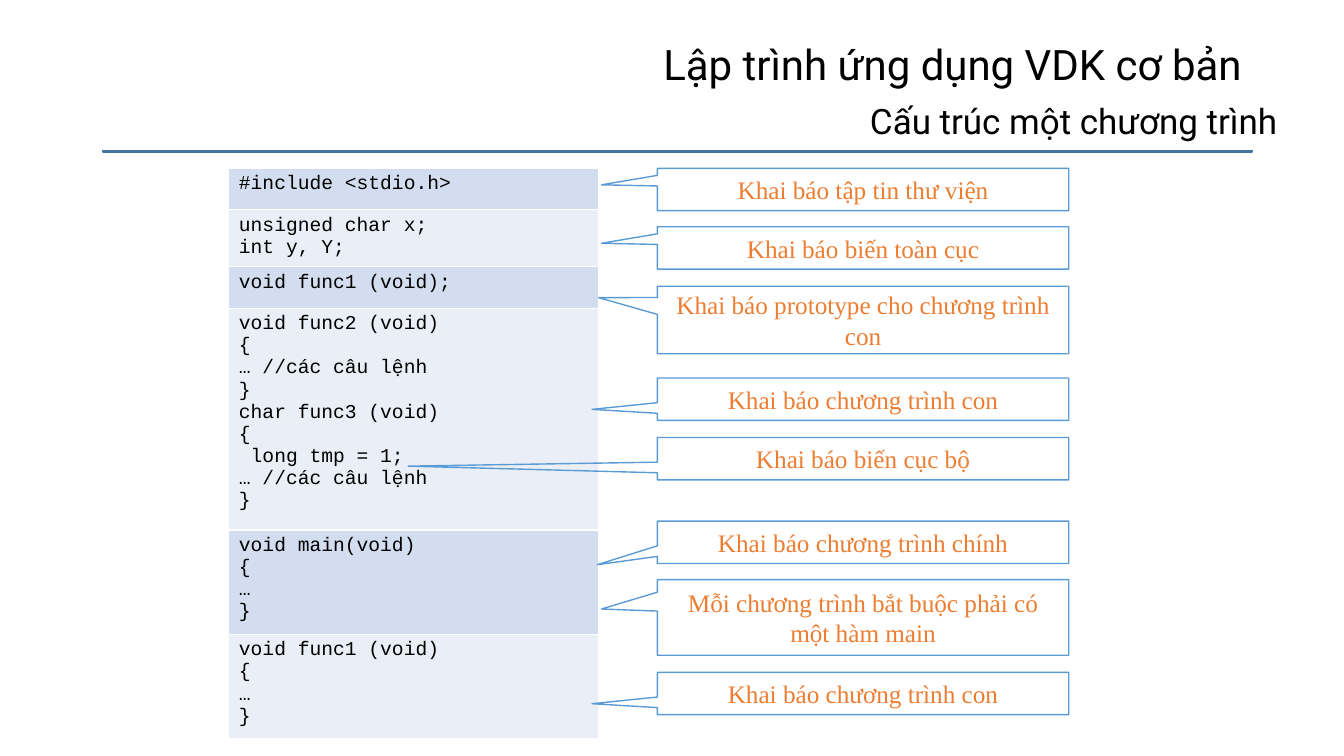
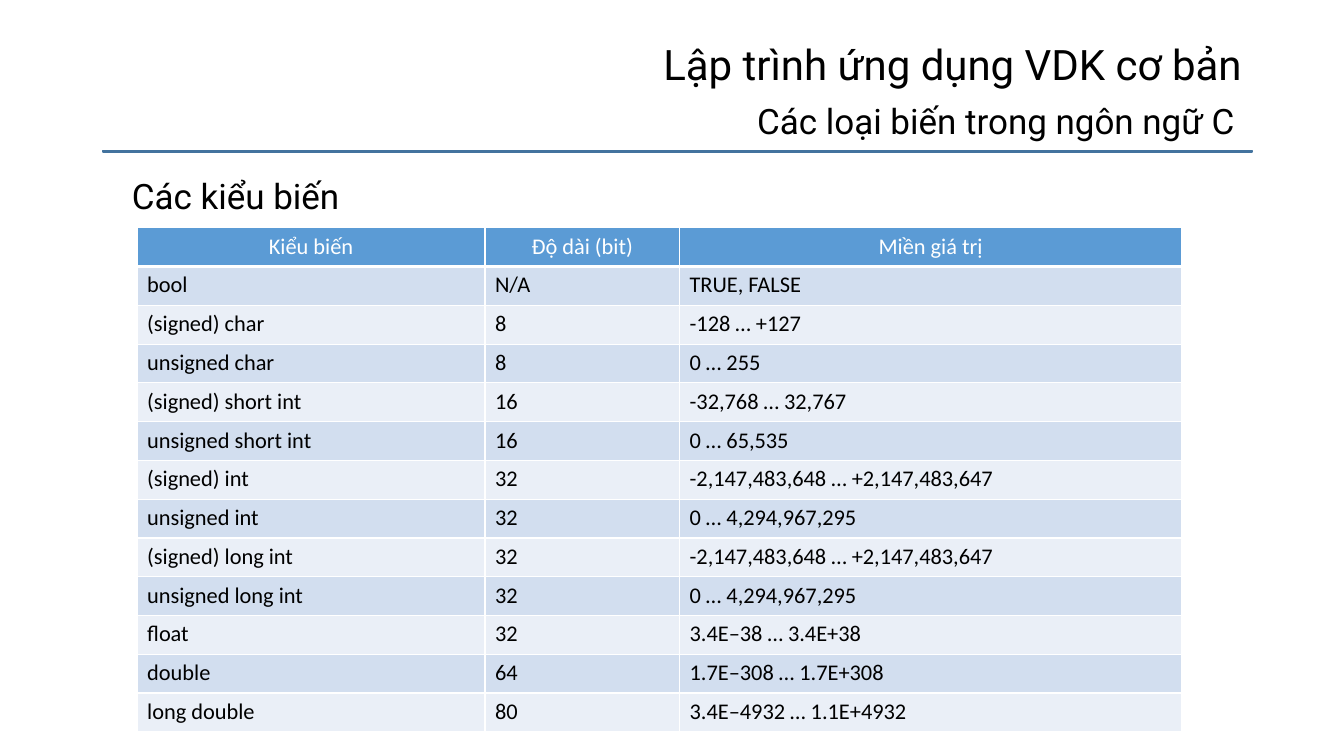
from typing import NamedTuple

from lxml import etree
from pptx import Presentation
from pptx.dml.color import RGBColor
from pptx.enum.shapes import MSO_SHAPE as Shape
from pptx.enum.text import MSO_ANCHOR as Anchor, PP_ALIGN as Align
from pptx.oxml.ns import qn
from pptx.util import Inches, Pt

BLACK = RGBColor(0x00, 0x00, 0x00)
WHITE = RGBColor(0xFF, 0xFF, 0xFF)
BLUE = RGBColor(0x5B, 0x9B, 0xD5)
ORANGE = RGBColor(0xED, 0x7D, 0x31)
RULE_FILL = RGBColor(0xD9, 0xD9, 0xD9)
RULE_LINE = RGBColor(0x43, 0x73, 0x9E)
BANDS = (RGBColor(0xD2, 0xDE, 0xEF), RGBColor(0xEA, 0xEF, 0xF7))

DECK_TITLE = "Lập trình ứng dụng VDK cơ bản"


class Box(NamedTuple):
    left: float
    top: float
    width: float
    height: float

    def lengths(self):
        return [Inches(value) for value in self]


class Style(NamedTuple):
    font: str
    size: float
    color: RGBColor
    align: Align = Align.LEFT


class Callout(NamedTuple):
    text: str
    top: float
    tip_x: float  # tip offset from the centre, as a share of the width
    tip_y: float  # tip offset from the centre, as a share of the height
    height: float = 0.42


TITLE = Style("Roboto", 30, BLACK, Align.RIGHT)
SUBTITLE = Style("Roboto", 25, BLACK, Align.CENTER)
HEADING = Style("Roboto", 25, BLACK)
CODE = Style("Courier New", 14, BLACK)
LABEL = Style("Times New Roman", 18, ORANGE, Align.CENTER)
TABLE_HEAD = Style("Calibri", 16, WHITE, Align.CENTER)
TABLE_BODY = Style("Calibri", 16, BLACK)

CODE_BLOCKS = [
    ["#include <stdio.h>"],
    ["unsigned char x;", "int y, Y;"],
    ["void func1 (void);"],
    ["void func2 (void)", "{", "… //các câu lệnh", "}",
     "char func3 (void)", "{", " long tmp = 1;", "… //các câu lệnh", "}"],
    ["void main(void)", "{", "…", "}"],
    ["void func1 (void)", "{", "…", "}"],
]

CALLOUTS = [
    Callout("Khai báo tập tin thư viện", 1.67, -0.636, -0.111),
    Callout("Khai báo biến toàn cục", 2.25, -0.636, -0.111),
    Callout("Khai báo prototype cho chương trình con", 2.84, -0.643, -0.331, 0.67),
    Callout("Khai báo chương trình con", 3.75, -0.659, 0.241),
    Callout("Khai báo biến cục bộ", 4.34, -1.106, 0.177),
    Callout("Khai báo chương trình chính", 5.17, -0.646, 0.529),
    Callout("Mỗi chương trình bắt buộc phải có một hàm main", 5.75, -0.636, -0.111, 0.75),
    Callout("Khai báo chương trình con", 6.67, -0.659, 0.241),
]

VARIABLE_TYPES = [
    ("Kiểu biến", "Độ dài (bit)", "Miền giá trị"),
    ("bool", "N/A", "TRUE, FALSE"),
    ("(signed) char", "8", "-128 … +127"),
    ("unsigned char", "8", "0 … 255"),
    ("(signed) short int", "16", "-32,768 … 32,767"),
    ("unsigned short int", "16", "0 … 65,535"),
    ("(signed) int", "32", "-2,147,483,648 … +2,147,483,647"),
    ("unsigned int", "32", "0 … 4,294,967,295"),
    ("(signed) long int", "32", "-2,147,483,648 … +2,147,483,647"),
    ("unsigned long int", "32", "0 … 4,294,967,295"),
    ("float", "32", "3.4E–38 … 3.4E+38"),
    ("double", "64", "1.7E–308 … 1.7E+308"),
    ("long double", "80", "3.4E–4932 … 1.1E+4932"),
]


def write(frame, text: str, style: Style) -> None:
    frame.text = text
    for para in frame.paragraphs:
        para.alignment = style.align
        for span in para.runs:
            span.font.name = style.font
            span.font.size = Pt(style.size)
            span.font.color.rgb = style.color
            span.font.bold = False


def add_text(page, box: Box, text: str, style: Style, anchor: Anchor = Anchor.MIDDLE):
    frame = page.shapes.add_textbox(*box.lengths()).text_frame
    frame.word_wrap = True
    frame.vertical_anchor = anchor
    write(frame, text, style)
    for para in frame.paragraphs:
        para.line_spacing = 0.9
    return frame


def add_page(deck, subtitle: str, subtitle_box: Box):
    """Add a slide with the shared title, rule and a subtitle."""
    page = deck.slides.add_slide(deck.slide_layouts[6])
    rule = page.shapes.add_shape(Shape.RECTANGLE, *Box(1.02, 1.49, 11.4, 0.02).lengths())
    rule.shadow.inherit = False
    rule.fill.solid()
    rule.fill.fore_color.rgb = RULE_FILL
    rule.line.color.rgb = RULE_LINE
    rule.line.width = Pt(1)
    add_text(page, Box(1.02, 0.32, 11.4, 0.68), DECK_TITLE, TITLE)
    frame = add_text(page, subtitle_box, subtitle, SUBTITLE, Anchor.TOP)
    frame.margin_left = Inches(0.6)
    frame.paragraphs[0].space_before = Pt(5)
    return page


def set_borders(cell, bottom: float) -> None:
    """Draw white borders, 1 pt except at the bottom; call before filling the cell."""
    properties = cell._tc.get_or_add_tcPr()
    for side, width in (("L", 1), ("R", 1), ("T", 1), ("B", bottom)):
        line = etree.SubElement(properties, qn(f"a:ln{side}"), w=str(Pt(width)))
        fill = etree.SubElement(line, qn("a:solidFill"))
        etree.SubElement(fill, qn("a:srgbClr"), val=str(WHITE))


def add_banded_table(page, left: float, top: float, widths: list[float], row_height: float,
                     rows: list, body: Style, head: Style | None = None) -> None:
    box = Box(left, top, sum(widths), row_height * len(rows))
    table = page.shapes.add_table(len(rows), len(widths), *box.lengths()).table
    table.first_row = head is not None
    for column, width in zip(table.columns, widths):
        column.width = Inches(width)
    first_band = 1 if head else 0
    for index, texts in enumerate(rows):
        is_head = index < first_band
        for cell, text in zip(table.rows[index].cells, texts):
            set_borders(cell, 3 if is_head else 1)
            cell.fill.solid()
            cell.fill.fore_color.rgb = BLUE if is_head else BANDS[(index - first_band) % 2]
            write(cell.text_frame, text, head if is_head else body)


def add_callout(page, callout: Callout) -> None:
    box = Box(6.52, callout.top, 4.08, callout.height)
    shape = page.shapes.add_shape(Shape.RECTANGULAR_CALLOUT, *box.lengths())
    shape.adjustments[0] = callout.tip_x
    shape.adjustments[1] = callout.tip_y
    shape.shadow.inherit = False
    shape.fill.background()
    shape.line.color.rgb = BLUE
    shape.line.width = Pt(1)
    shape.text_frame.vertical_anchor = Anchor.MIDDLE
    write(shape.text_frame, callout.text, LABEL)


def add_structure_page(deck) -> None:
    page = add_page(deck, "Cấu trúc một chương trình ", Box(7.97, 0.99, 4.94, 0.44))
    rows = [("\n".join(block),) for block in CODE_BLOCKS]
    add_banded_table(page, 2.27, 1.67, [3.67], 0.41, rows, CODE)
    for callout in CALLOUTS:
        add_callout(page, callout)


def add_types_page(deck) -> None:
    page = add_page(deck, "Các loại biến trong ngôn ngữ C", Box(6.84, 0.99, 5.57, 0.44))
    add_text(page, Box(1.21, 1.43, 9, 1.08), "Các kiểu biến", HEADING)
    add_banded_table(page, 1.36, 2.26, [3.45, 1.93, 4.98], 0.385, VARIABLE_TYPES,
                     TABLE_BODY, TABLE_HEAD)


def main() -> None:
    deck = Presentation()
    deck.slide_width = Inches(13.33)
    deck.slide_height = Inches(7.5)
    add_structure_page(deck)
    add_types_page(deck)
    deck.save("out.pptx")


if __name__ == "__main__":
    main()
